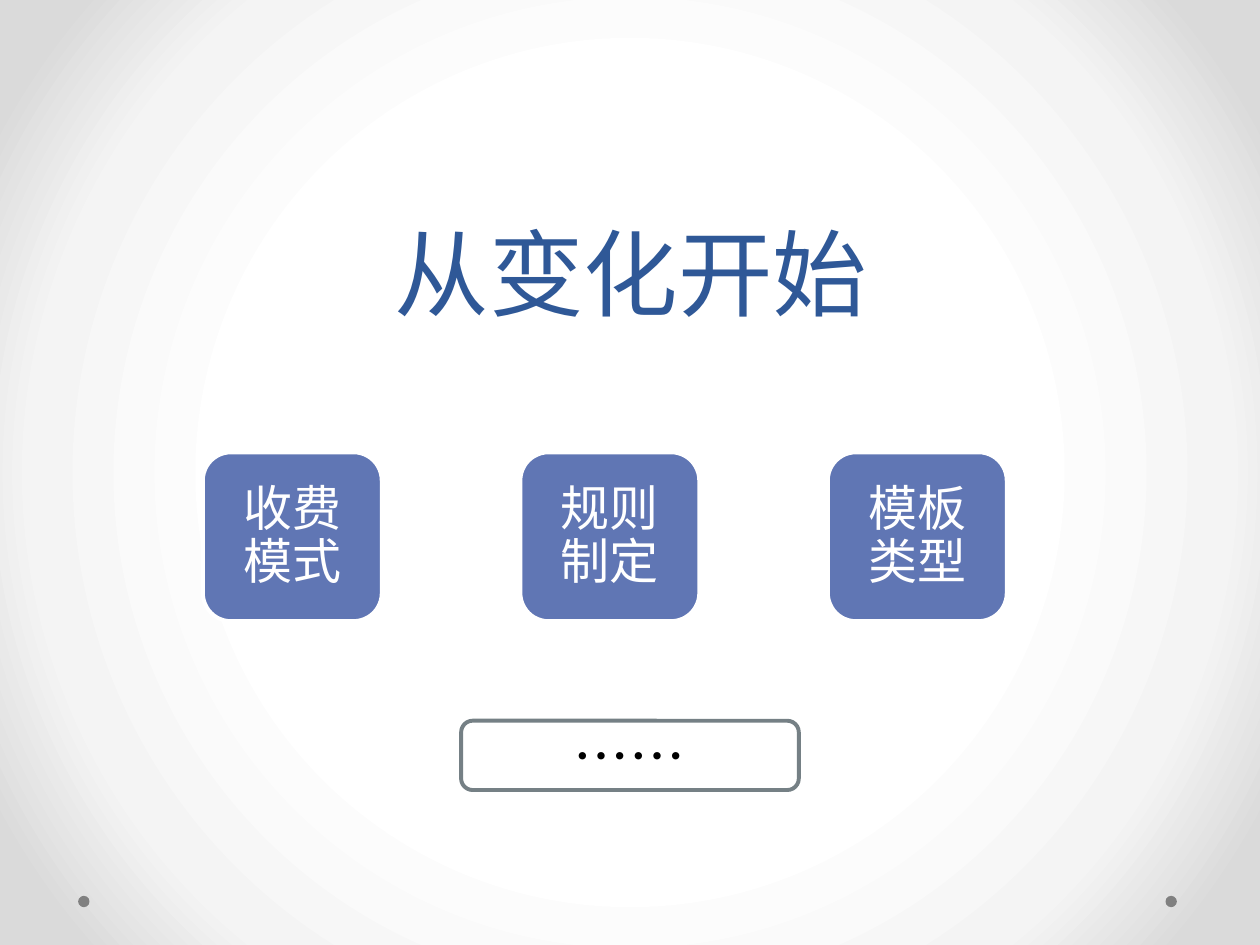
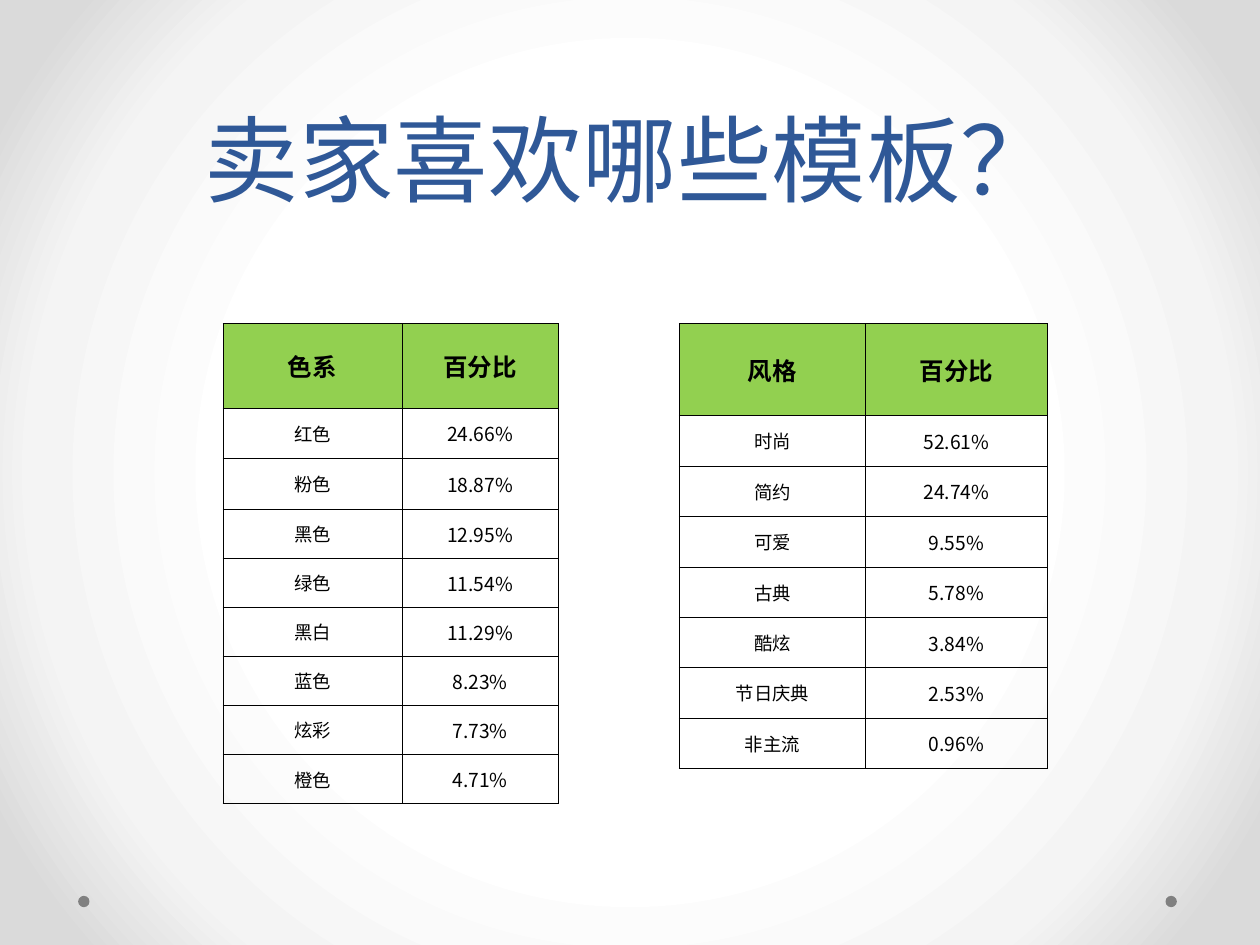
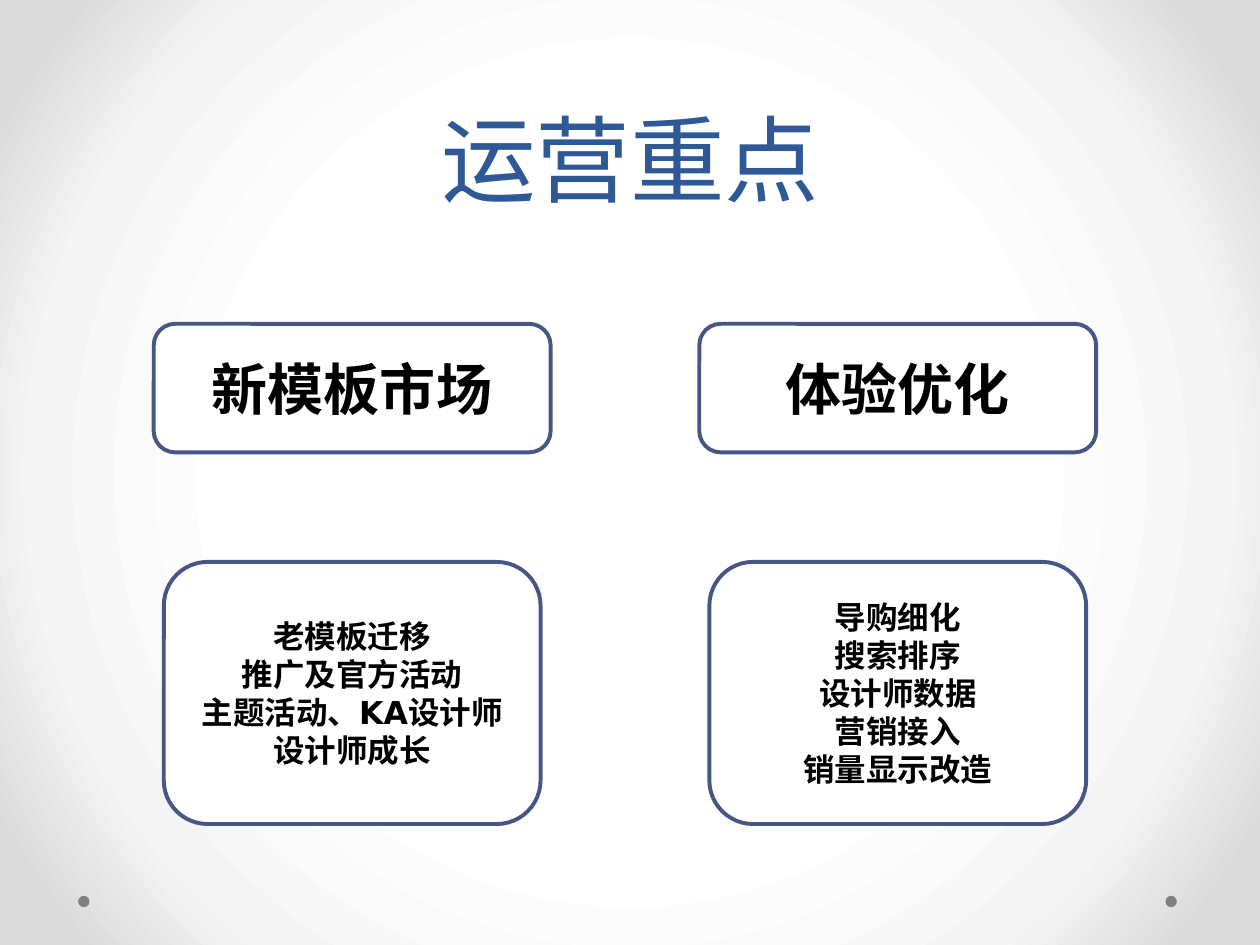
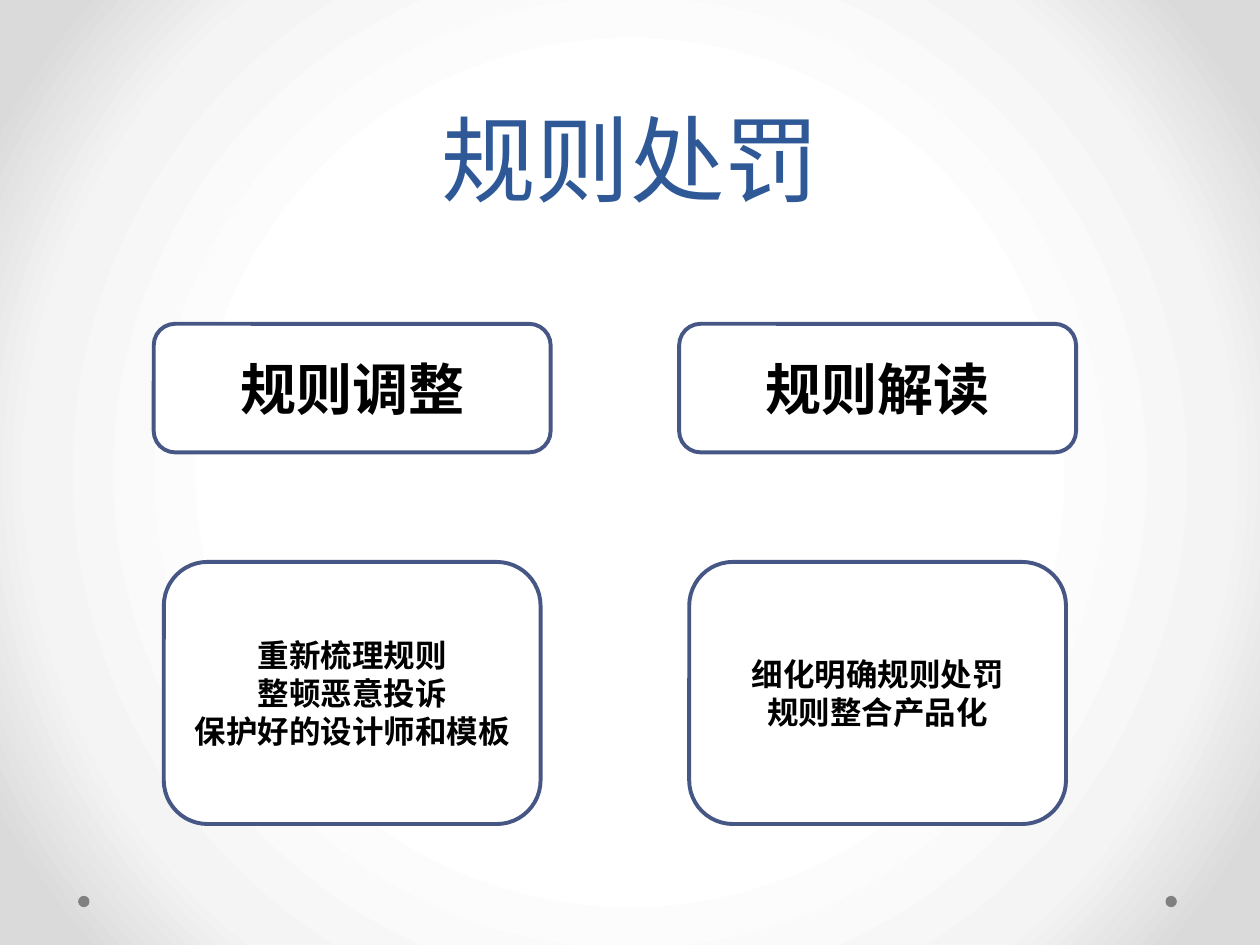
from dataclasses import dataclass

from lxml.etree import SubElement
from pptx import Presentation
from pptx.dml.color import RGBColor
from pptx.enum.lang import MSO_LANGUAGE_ID
from pptx.enum.shapes import MSO_SHAPE
from pptx.enum.text import MSO_ANCHOR, MSO_AUTO_SIZE, PP_ALIGN
from pptx.oxml import parse_xml
from pptx.oxml.ns import nsdecls, qn
from pptx.util import Inches, Pt


@dataclass(frozen=True)
class Theme:
    sans: str = "DejaVu Sans"
    cjk: str = "Noto Sans CJK SC"
    title: str = "2F5897"
    card: str = "6076B4"
    edge: str = "475785"
    gray: str = "758085"
    dot: str = "808080"
    head: str = "92D050"
    white: str = "FFFFFF"
    black: str = "000000"
    back: tuple = ((50, "FFFFFF"), (76, "F4F4F4"), (92, "DADADA"))
    title_size: float = 54
    title_line: float = 58
    big: float = 32
    card_size: float = 28
    list_size: float = 18
    head_size: float = 14
    name_size: float = 10.5
    rate_size: float = 11
    line: float = 2.25
    rule: float = 0.5


T = Theme()

# Content
CHANGE = "从变化开始"
CARDS = [(1.61, "收费模式"), (4.13, "规则制定"), (6.57, "模板类型")]
MORE = "……"

LIKES = "卖家喜欢哪些模板？"
TABLES = [
    dict(left=1.77, cols=[1.42, 1.24], rows=[0.67] + [0.4] * 2 + [0.39] * 6,
         data=[("色系", "百分比"), ("红色", "24.66%"), ("粉色", "18.87%"),
               ("黑色", "12.95%"), ("绿色", "11.54%"), ("黑白", "11.29%"),
               ("蓝色", "8.23%"), ("炫彩", "7.73%"), ("橙色", "4.71%")]),
    dict(left=5.39, cols=[1.48, 1.44], rows=[0.73] + [0.4] * 7,
         data=[("风格", "百分比"), ("时尚", "52.61%"), ("简约", "24.74%"),
               ("可爱", "9.55%"), ("古典", "5.78%"), ("酷炫", "3.84%"),
               ("节日庆典", "2.53%"), ("非主流", "0.96%")]),
]

# Title, then (left, heading, points) for each column
PLANS = [
    ("运营重点", [
        (1.22, "新模板市场",
         ["老模板迁移", "推广及官方活动", "主题活动、KA设计师", "设计师成长"]),
        (5.55, "体验优化",
         ["导购细化", "搜索排序", "设计师数据", "营销接入", "销量显示改造"]),
    ]),
    ("规则处罚", [
        (1.22, "规则调整",
         ["重新梳理规则", "整顿恶意投诉", "保护好的设计师和模板"]),
        (5.39, "规则解读", ["细化明确规则处罚", "规则整合产品化"]),
    ]),
]

TOP = 2.57
HEAD_W, HEAD_H = 3.15, 1.02
LIST_TOP, LIST_W, LIST_H = 4.46, 2.99, 2.08
CARD_TOP, CARD_W, CARD_H, CARD_PAD = 3.59, 1.42, 1.34, 0.12
DOT_TOP, DOT_SIZE, DOT_LEFTS = 7.11, 0.09, (9.25, 0.62)


def rgb(code):
    return RGBColor.from_string(code)


def write(frame, lines, size, color, face=T.cjk, bold=False, space=None):
    """Fill a text frame with centred paragraphs, one run each."""
    for i, line in enumerate(lines):
        para = frame.add_paragraph() if i else frame.paragraphs[0]
        para.alignment = PP_ALIGN.CENTER
        if space:
            para.line_spacing = space
        run = para.add_run()
        run.text = line
        font = run.font
        font.size, font.bold, font.name = Pt(size), bold, face
        font.color.rgb = rgb(color)
        font.language_id = MSO_LANGUAGE_ID.SIMPLIFIED_CHINESE
        SubElement(font._element, qn("a:ea"), typeface=T.cjk)


def add_box(slide, at, fill, edge=None, kind=MSO_SHAPE.ROUNDED_RECTANGLE):
    box = slide.shapes.add_shape(kind, *map(Inches, at))
    box.shadow.inherit = False
    box.fill.solid()
    box.fill.fore_color.rgb = rgb(fill)
    if edge:
        box.line.color.rgb = rgb(edge)
        box.line.width = Pt(T.line)
    else:
        box.line.fill.background()
    frame = box.text_frame
    frame.word_wrap = True
    frame.vertical_anchor = MSO_ANCHOR.MIDDLE
    return box


def add_slide(deck, title, at=(0.5, 0, 9, 1.75)):
    slide = deck.slides.add_slide(deck.slide_layouts[5])
    head = slide.shapes.title
    head.left, head.top, head.width, head.height = map(Inches, at)
    frame = head.text_frame
    frame.auto_size = MSO_AUTO_SIZE.NONE
    frame.vertical_anchor = MSO_ANCHOR.BOTTOM
    write(frame, [title], T.title_size, T.title, T.sans, space=Pt(T.title_line))
    return slide


def set_master(deck, slide):
    """Give the master its radial background and its two dots."""
    master = deck.slide_master
    master.background.fill.solid()
    stops = "".join(
        f'<a:gs pos="{pos * 1000}"><a:srgbClr val="{code}"/></a:gs>'
        for pos, code in T.back)
    glow = parse_xml(
        f'<a:gradFill {nsdecls("a")} rotWithShape="1"><a:gsLst>{stops}</a:gsLst>'
        '<a:path path="circle"><a:fillToRect l="50000" t="50000" r="50000"'
        ' b="50000"/></a:path></a:gradFill>')
    solid = master._element.find(".//" + qn("p:bgPr"))[0]
    solid.getparent().replace(solid, glow)
    for left in DOT_LEFTS:
        at = (left, DOT_TOP, DOT_SIZE, DOT_SIZE)
        dot = add_box(slide, at, T.dot, kind=MSO_SHAPE.OVAL)
        master.shapes._spTree.append(dot._element)


def add_border(cell):
    props = cell._tc.get_or_add_tcPr()
    for side in ("lnL", "lnR", "lnT", "lnB"):
        line = SubElement(props, qn("a:" + side), w=str(Pt(T.rule)))
        fill = SubElement(line, qn("a:solidFill"))
        SubElement(fill, qn("a:srgbClr"), val=T.black)


def add_table(slide, left, cols, rows, data):
    at = map(Inches, (left, TOP, sum(cols), sum(rows)))
    table = slide.shapes.add_table(len(rows), len(cols), *at).table
    table.first_row = table.horz_banding = False
    for col, width in zip(table.columns, cols):
        col.width = Inches(width)
    for r, (height, texts) in enumerate(zip(rows, data)):
        table.rows[r].height = Inches(height)
        for c, text in enumerate(texts):
            cell = table.cell(r, c)
            cell.margin_left = cell.margin_right = 0
            cell.margin_top = cell.margin_bottom = 0
            cell.vertical_anchor = MSO_ANCHOR.MIDDLE
            add_border(cell)
            if r == 0:
                cell.fill.solid()
                cell.fill.fore_color.rgb = rgb(T.head)
                size = T.head_size
            else:
                cell.fill.background()
                size = (T.name_size, T.rate_size)[c]
            write(cell.text_frame, [text], size, T.black, bold=r == 0)


def add_change(deck):
    slide = add_slide(deck, CHANGE, (0.51, 1.62, 9, 1.04))
    set_master(deck, slide)
    for left, text in CARDS:
        at = (left, CARD_TOP, CARD_W, CARD_H)
        frame = add_box(slide, at, T.card, T.white).text_frame
        frame.margin_left = frame.margin_right = Inches(CARD_PAD)
        frame.margin_top = frame.margin_bottom = Inches(CARD_PAD)
        write(frame, [text], T.card_size, T.white, space=0.9)
    more = add_box(slide, (3.66, 5.72, 2.68, 0.55), T.white, T.gray)
    write(more.text_frame, [MORE], T.big, T.black)


def add_plan(deck, title, columns):
    slide = add_slide(deck, title)
    for left, head, points in columns:
        inset = left + (HEAD_W - LIST_W) / 2
        for at, lines, size in (
                ((left, TOP, HEAD_W, HEAD_H), [head], T.big),
                ((inset, LIST_TOP, LIST_W, LIST_H), points, T.list_size)):
            box = add_box(slide, at, T.white, T.edge)
            write(box.text_frame, lines, size, T.black, T.sans, bold=True)


def main():
    deck = Presentation()
    deck.slide_width, deck.slide_height = Inches(10), Inches(7.5)
    add_change(deck)
    likes = add_slide(deck, LIKES)
    for table in TABLES:
        add_table(likes, **table)
    for title, columns in PLANS:
        add_plan(deck, title, columns)
    deck.save("out.pptx")


if __name__ == "__main__":
    main()
